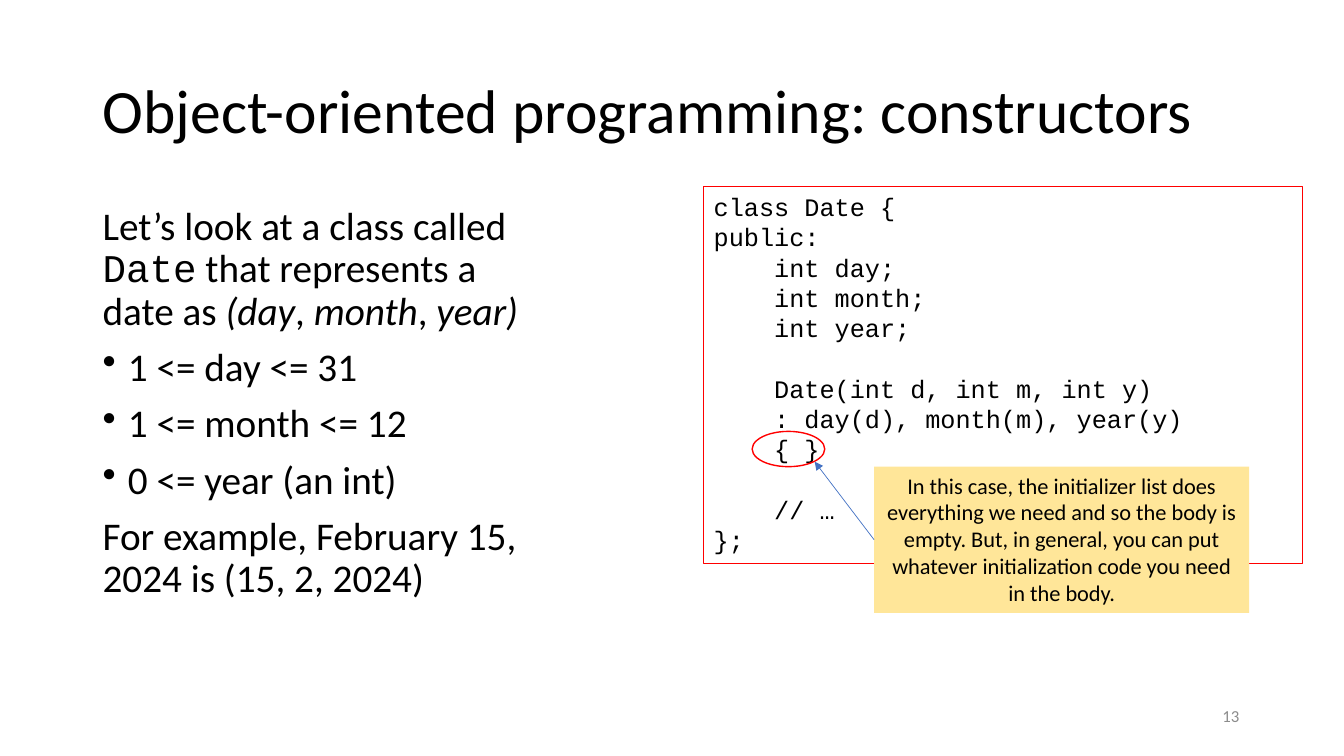
from dataclasses import dataclass

import pptx
import pptx.dml.color
import pptx.enum.shapes
import pptx.enum.text
import pptx.oxml.ns
import pptx.util
from lxml import etree

ALIGN = pptx.enum.text.PP_ALIGN
ANCHOR = pptx.enum.text.MSO_ANCHOR
SHAPE = pptx.enum.shapes.MSO_SHAPE
qn = pptx.oxml.ns.qn


@dataclass(frozen=True)
class Theme:
    sans: str = "Calibri"
    mono: str = "Courier New"
    ink: str = "000000"
    muted: str = "8C8C8C"
    red: str = "FF0000"
    note: str = "FFE699"
    arrow: str = "4472C4"
    title: int = 44
    body: int = 28
    code: int = 18
    callout: int = 16
    number: int = 12


@dataclass(frozen=True)
class Box:
    left: int
    top: int
    width: int
    height: int


@dataclass(frozen=True)
class Run:
    text: str
    font: str = ""
    italic: bool = False


@dataclass(frozen=True)
class Para:
    runs: tuple[Run, ...]
    bullet: bool = False
    indent: int = 0
    before: float = 0


@dataclass(frozen=True)
class Style:
    size: int
    font: str
    color: str
    align: ALIGN = ALIGN.LEFT
    spacing: float = 1.0
    anchor: ANCHOR = ANCHOR.TOP


THEME = Theme()
BULLET_INDENT = 25
CODE_INDENT = 60
CODE_LINE = 21.6


def px(n: int) -> pptx.util.Emu:
    return pptx.util.Emu(n * 9144)


def rgb(color: str) -> pptx.dml.color.RGBColor:
    return pptx.dml.color.RGBColor.from_string(color)


def line(text: str, **options) -> Para:
    return Para((Run(text),), **options)


def write(sp, paras: list[Para], style: Style) -> None:
    tf = sp.text_frame
    tf.word_wrap = True
    tf.vertical_anchor = style.anchor
    for i, para in enumerate(paras):
        p = tf.paragraphs[0] if i == 0 else tf.add_paragraph()
        p.alignment = style.align
        p.line_spacing = style.spacing
        p.space_before = pptx.util.Pt(para.before)
        p.font.size = pptx.util.Pt(style.size)
        p.font.name = style.font
        p.font.color.rgb = rgb(style.color)
        pPr = p._p.get_or_add_pPr()
        if para.indent:
            pPr.set("marL", str(px(para.indent)))
        if para.bullet:
            pPr.set("indent", str(-px(para.indent)))
            bullet = etree.Element(qn("a:buChar"), char="•")
            pPr.find(qn("a:defRPr")).addprevious(bullet)
        for run in para.runs:
            r = p.add_run()
            r.text = run.text
            if run.font:
                r.font.name = run.font
            if run.italic:
                r.font.italic = True


def add_text(s, box: Box, paras: list[Para], style: Style) -> None:
    sp = s.shapes.add_textbox(px(box.left), px(box.top), px(box.width), px(box.height))
    write(sp, paras, style)


def add_shape(s, kind: SHAPE, box: Box, fill: str = "", outline: str = "", weight: float = 1):
    sp = s.shapes.add_shape(kind, px(box.left), px(box.top), px(box.width), px(box.height))
    sp.shadow.inherit = False
    if fill:
        sp.fill.solid()
        sp.fill.fore_color.rgb = rgb(fill)
    else:
        sp.fill.background()
    if outline:
        sp.line.color.rgb = rgb(outline)
        sp.line.width = pptx.util.Pt(weight)
    else:
        sp.line.fill.background()
    return sp


def add_arrow(s, source, end_x: int, end_y: int) -> None:
    cx = s.shapes.add_connector(
        pptx.enum.shapes.MSO_CONNECTOR.STRAIGHT, 0, 0, px(end_x), px(end_y))
    cx.begin_connect(source, 1)
    cx.line.color.rgb = rgb(THEME.arrow)
    cx.line.width = pptx.util.Pt(0.5)
    etree.SubElement(cx.line._get_or_add_ln(), qn("a:tailEnd"), type="triangle")
    etree.SubElement(cx._element.spPr, qn("a:effectLst"))


BODY = [
    Para((
        Run("Let’s look at a class called "),
        Run("Date", font=THEME.mono),
        Run(" that represents a date as "),
        Run("(day", italic=True),
        Run(", "),
        Run("month", italic=True),
        Run(", "),
        Run("year)", italic=True),
    ), before=10),
    *(line(text, bullet=True, indent=BULLET_INDENT, before=10)
      for text in ("1 <= day <= 31", "1 <= month <= 12", "0 <= year (an int)")),
    line("For example, February 15, 2024 is (15, 2, 2024)", before=10),
]

CODE = [
    line("class Date {"),
    line("public:"),
    line("int day;", indent=CODE_INDENT),
    line("int month;", indent=CODE_INDENT),
    line("int year;", indent=CODE_INDENT),
    line("Date(int d, int m, int y)", indent=CODE_INDENT, before=CODE_LINE),
    line(": day(d), month(m), year(y)", indent=CODE_INDENT),
    line("{ }", indent=CODE_INDENT),
    line("// …", indent=CODE_INDENT, before=CODE_LINE),
    line("};"),
]

CALLOUT = ("In this case, the initializer list does everything we need and so the body "
           "is empty. But, in general, you can put whatever initialization code you need "
           "in the body.")


def main() -> None:
    prs = pptx.Presentation()
    prs.slide_width, prs.slide_height = px(1333), px(750)
    s = prs.slides.add_slide(prs.slide_layouts[6])

    # Title, body and slide number
    add_text(s, Box(92, 40, 1150, 145), [line("Object-oriented programming: constructors")],
             Style(THEME.title, THEME.sans, THEME.ink, spacing=0.9, anchor=ANCHOR.MIDDLE))
    add_text(s, Box(92, 200, 434, 476), BODY,
             Style(THEME.body, THEME.sans, THEME.ink, spacing=0.9))
    add_text(s, Box(939, 690, 300, 40), [line("13")],
             Style(THEME.number, THEME.sans, THEME.muted, ALIGN.RIGHT, anchor=ANCHOR.MIDDLE))

    # Code listing with the empty body circled
    code = add_shape(s, SHAPE.RECTANGLE, Box(698, 185, 594, 374), outline=THEME.red, weight=0.75)
    write(code, CODE, Style(THEME.code, THEME.mono, THEME.ink))
    add_shape(s, SHAPE.OVAL, Box(746, 428, 72, 35), outline=THEME.red)

    # Callout and its arrow
    callout = add_shape(s, SHAPE.RECTANGLE, Box(867, 463, 372, 145), fill=THEME.note)
    write(callout, [line(CALLOUT)], Style(THEME.callout, THEME.sans, THEME.ink, ALIGN.CENTER))
    add_arrow(s, callout, 808, 458)

    prs.save("out.pptx")


if __name__ == "__main__":
    main()
